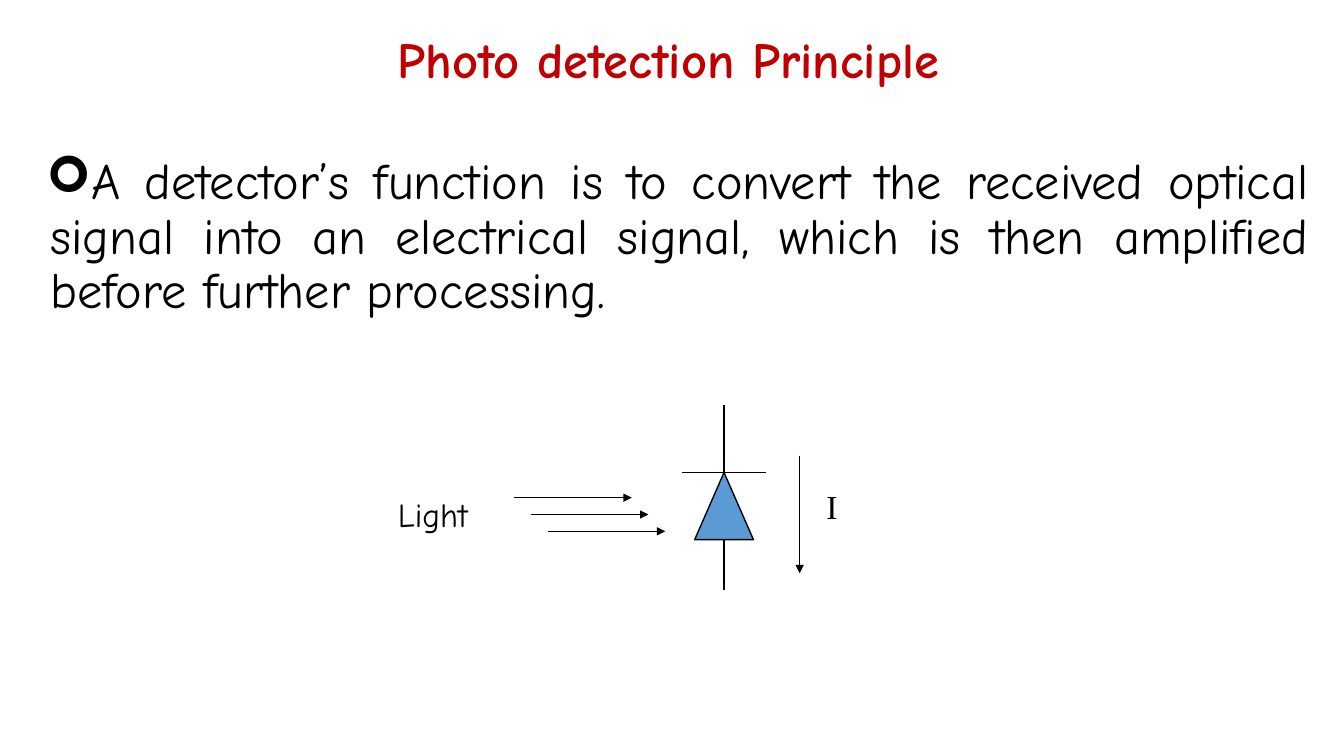
from dataclasses import dataclass

from lxml import etree
from pptx import Presentation
from pptx.dml.color import RGBColor
from pptx.enum.shapes import MSO_CONNECTOR, MSO_SHAPE
from pptx.enum.text import MSO_AUTO_SIZE, PP_ALIGN
from pptx.oxml.ns import qn
from pptx.util import Pt

STRAIGHT = MSO_CONNECTOR.STRAIGHT
TRIANGLE = MSO_SHAPE.ISOSCELES_TRIANGLE
GROW = MSO_AUTO_SIZE.SHAPE_TO_FIT_TEXT
FIXED = MSO_AUTO_SIZE.NONE
JUSTIFY = PP_ALIGN.JUSTIFY


@dataclass(frozen=True)
class Theme:
    """Colours, fonts and sizes of the slide."""
    heading: RGBColor = RGBColor(0xC0, 0x00, 0x00)
    ink: RGBColor = RGBColor(0x00, 0x00, 0x00)
    diode: RGBColor = RGBColor(0x5B, 0x9B, 0xD5)
    script: str = "Comic Neue"
    serif: str = "Times New Roman"
    large: int = 36
    label: int = 24
    stroke: int = 1


THEME = Theme()


def add_text(slide, box, words, size, color=THEME.ink, font=THEME.script,
             bold=False, wrap=True, fit=GROW):
    """Place one run of text in a box and return its paragraph."""
    frame = slide.shapes.add_textbox(*map(Pt, box)).text_frame
    frame.word_wrap = wrap
    frame.auto_size = fit
    paragraph = frame.paragraphs[0]
    run = paragraph.add_run()
    run.text = words
    run.font.name = font
    run.font.size = Pt(size)
    run.font.bold = bold
    run.font.color.rgb = color
    return paragraph


def add_wire(slide, start, end, arrow=False):
    """Draw a straight line, with an arrowhead at its end if asked."""
    wire = slide.shapes.add_connector(STRAIGHT, *map(Pt, start + end))
    wire.line.color.rgb = THEME.ink
    wire.line.width = Pt(THEME.stroke)
    if arrow:
        head = etree.SubElement(wire.line._get_or_add_ln(), qn("a:tailEnd"))
        head.set("type", "triangle")
    etree.SubElement(wire._element.spPr, qn("a:effectLst"))


def add_title(slide, box):
    """Write the slide heading."""
    add_text(slide, box, "Photo detection Principle", THEME.large,
             THEME.heading, bold=True, wrap=False)


def add_definition(slide, box):
    """Write the justified statement with its arrow bullet."""
    statement = add_text(
        slide, box,
        "A detector’s function is to convert the received optical signal into "
        "an electrical signal, which is then amplified before further processing.",
        THEME.large, fit=FIXED)
    statement.alignment = JUSTIFY
    statement.line_spacing = 0.9
    properties = statement._p.get_or_add_pPr()
    properties.set("marL", str(Pt(3)))
    properties.set("indent", str(Pt(-45)))
    etree.SubElement(properties, qn("a:buFont")).set("typeface", "Wingdings")
    etree.SubElement(properties, qn("a:buChar")).set("char", "➢")


def add_photodiode(slide, box):
    """Draw the diode symbol, the incoming light and the current."""
    left, top, width, height = box
    step = 12
    reach = 7 * step
    axis = left + 20 * step
    cathode, anode = top + 4 * step, top + 8 * step
    half = 21

    diode = slide.shapes.add_shape(TRIANGLE, Pt(axis - half), Pt(cathode),
                                   Pt(2 * half), Pt(anode - cathode))
    diode.shadow.inherit = False
    diode.fill.solid()
    diode.fill.fore_color.rgb = THEME.diode
    diode.line.color.rgb = THEME.ink
    diode.line.width = Pt(THEME.stroke)

    add_wire(slide, (axis - 2.5 * step, cathode), (axis + 2.5 * step, cathode))
    add_wire(slide, (axis, cathode), (axis, top))
    add_wire(slide, (axis, anode), (axis, top + height))

    for ray in range(3):
        x, y = left + 90 + ray * step, top + 66 + ray * step
        add_wire(slide, (x, y), (x + reach, y), arrow=True)

    current_x, current_y = axis + 4.5 * step, top + 3 * step
    add_wire(slide, (current_x, current_y), (current_x, current_y + reach), arrow=True)
    current_left = current_x + step
    add_text(slide, (current_left, top + 54, left + width - current_left, 36), "I",
             THEME.label, font=THEME.serif, wrap=False)
    add_text(slide, (left, top + 60, 88.5, 36), "Light", THEME.label)


def main():
    """Build and save the slide."""
    deck = Presentation()
    deck.slide_width, deck.slide_height = Pt(960), Pt(540)
    slide = deck.slides.add_slide(deck.slide_layouts[6])
    add_title(slide, (277.2, 16.5, 449.3, 51))
    add_definition(slide, (26, 108, 916, 125.3))
    add_photodiode(slide, (277.2, 289.5, 328.3, 132))
    deck.save("out.pptx")


if __name__ == "__main__":
    main()
